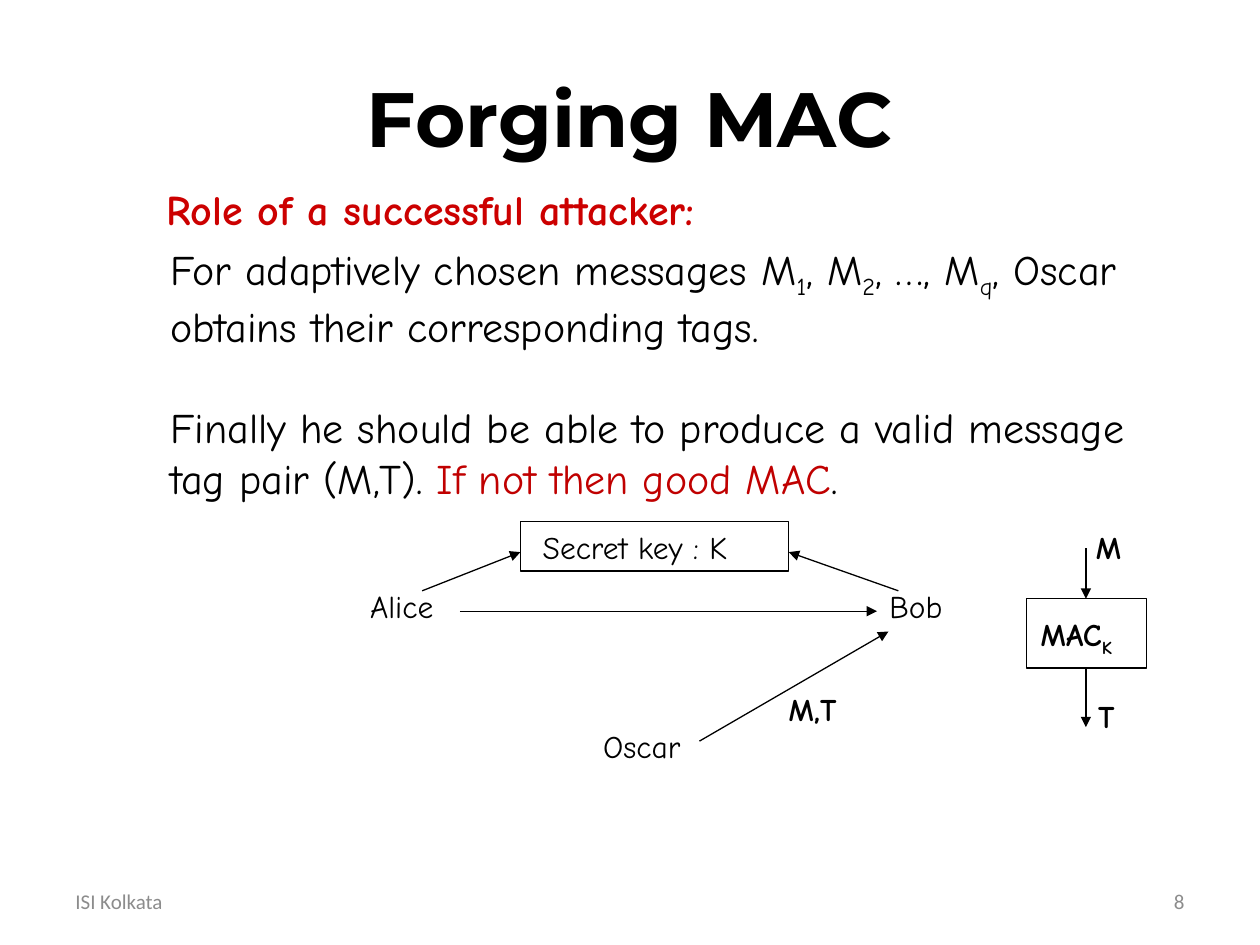
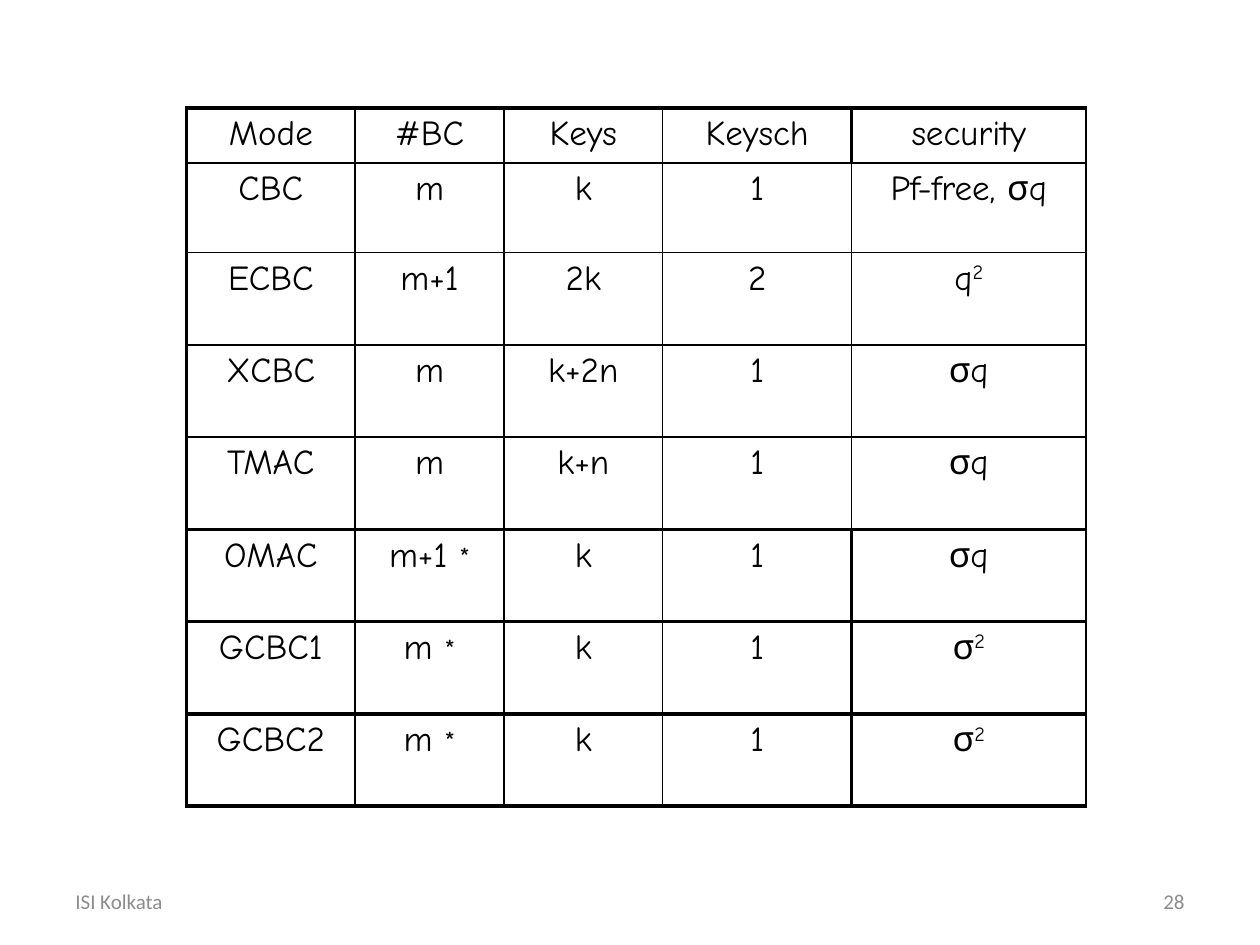
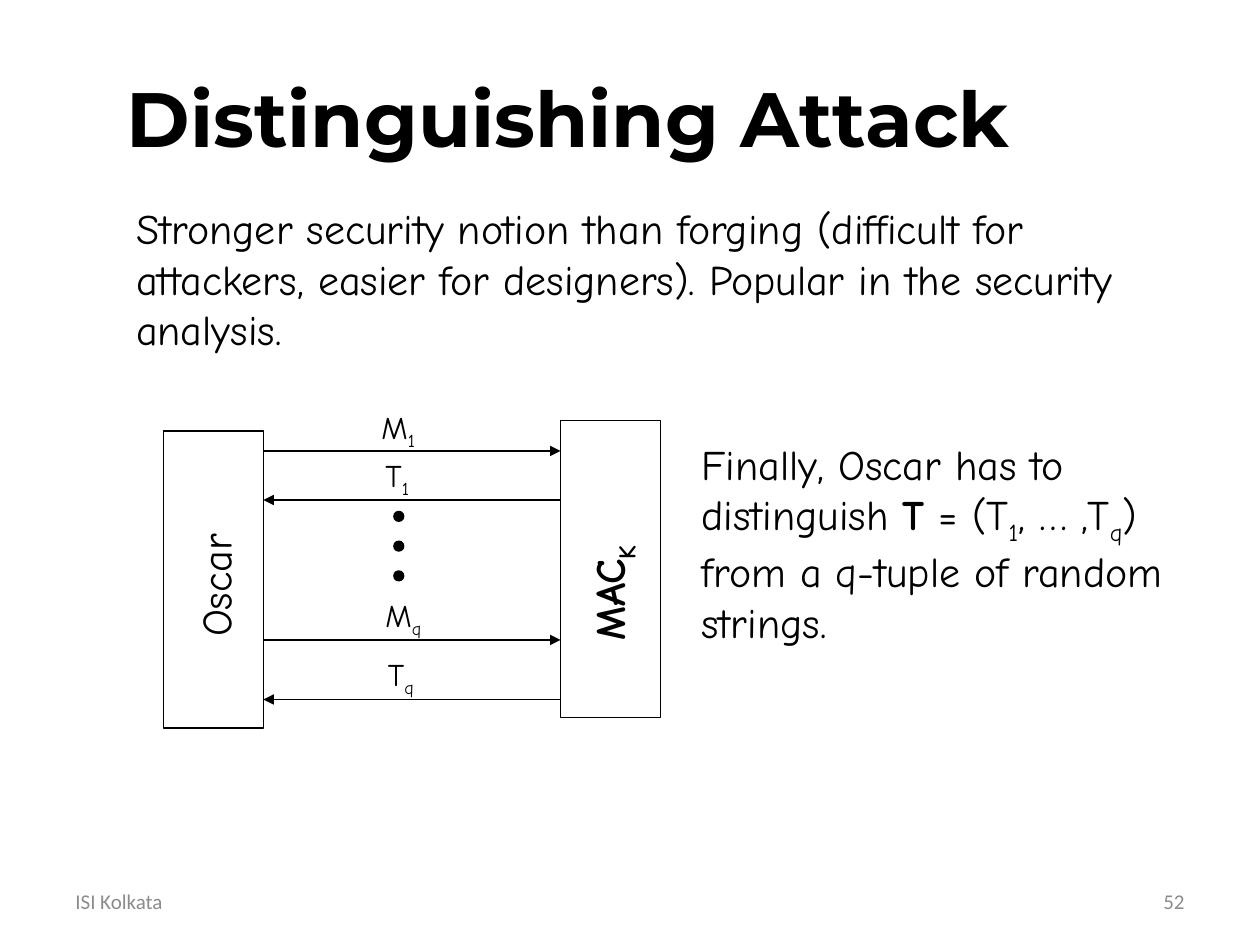
from lxml.etree import SubElement
from pptx import Presentation
from pptx.dml.color import RGBColor
from pptx.enum.shapes import MSO_CONNECTOR, MSO_SHAPE
from pptx.enum.text import MSO_ANCHOR, MSO_AUTO_SIZE, PP_ALIGN
from pptx.oxml.ns import qn
from pptx.util import Cm, Pt

# Shared look
BLACK, GREY = "000000", "8C8C8C"
BRIGHT_RED, DARK_RED = "CC0000", "C00000"
TITLE_FONT, BODY_FONT, FOOTER_FONT = "Montserrat", "Comic Neue", "Calibri"
TITLE_SIZE, BODY_SIZE, CELL_SIZE, LABEL_SIZE, FOOTER_SIZE = 44, 24, 20, 18, 12
LABEL_HEIGHT, TALL_LABEL_HEIGHT = 1.02, 1.27
THICK, THIN, OUTLINE = 2.25, 1, 0.75
TITLE_AND_BODY, BLANK = 1, 6


def color(value):
    return RGBColor.from_string(value)


def low(text):
    return text, {"baseline": -25000}


def high(text):
    return text, {"baseline": 30000}


# Text
def format_span(span, size, font=BODY_FONT, ink=BLACK, bold=False, baseline=0):
    span.font.name = font
    span.font.size = Pt(size)
    span.font.bold = bold
    span.font.color.rgb = color(ink)
    if baseline:
        span._r.get_or_add_rPr().set("baseline", str(baseline))


def write(para, parts, **style):
    """Write a string, or a list of strings and (string, style) pairs."""
    for part in [parts] if isinstance(parts, str) else parts:
        text, extra = (part, {}) if isinstance(part, str) else part
        span = para.add_run()
        span.text = text
        format_span(span, **{**style, **extra})


def add_label(page, left, top, width, parts, height=LABEL_HEIGHT,
              wrap=False, turn=0, **style):
    box = page.shapes.add_textbox(Cm(left), Cm(top), Cm(width), Cm(height))
    box.text_frame.word_wrap = wrap
    box.rotation = turn
    write(box.text_frame.paragraphs[0], parts, **{"size": LABEL_SIZE, **style})
    return box


def add_title(page, text):
    frame = page.shapes.title.text_frame
    frame.text = text
    frame.auto_size = MSO_AUTO_SIZE.NONE
    format_span(frame.paragraphs[0].runs[0], TITLE_SIZE, TITLE_FONT, bold=True)
    return frame


def add_body(page, left, top, width, height, paragraphs, gap=0):
    body = page.placeholders[1]
    body.left, body.top = Cm(left), Cm(top)
    body.width, body.height = Cm(width), Cm(height)
    frame = body.text_frame
    frame.auto_size = MSO_AUTO_SIZE.NONE
    for index, parts in enumerate(paragraphs):
        para = frame.add_paragraph() if index else frame.paragraphs[0]
        properties = para._p.get_or_add_pPr()
        properties.set("marL", "0")
        properties.set("indent", "0")
        SubElement(properties, qn("a:buNone"))
        para.space_before = Pt(gap if index else 0)
        write(para, parts, size=BODY_SIZE)


def add_footer(page, number):
    for left, text, side in ((1.27, "ISI Kolkata", PP_ALIGN.LEFT),
                             (18.21, str(number), PP_ALIGN.RIGHT)):
        box = add_label(page, left, 17.65, 5.92, text, wrap=True,
                        size=FOOTER_SIZE, font=FOOTER_FONT, ink=GREY)
        box.text_frame.vertical_anchor = MSO_ANCHOR.MIDDLE
        box.text_frame.paragraphs[0].alignment = side


# Diagram parts
def add_figure(page, kind, left, top, width, height, fill=None):
    figure = page.shapes.add_shape(kind, Cm(left), Cm(top), Cm(width), Cm(height))
    figure.shadow.inherit = False
    figure.line.color.rgb = color(BLACK)
    figure.line.width = Pt(OUTLINE)
    if fill:
        figure.fill.solid()
        figure.fill.fore_color.rgb = color(fill)
    else:
        figure.fill.background()


def add_arrow(page, start, end):
    arrow = page.shapes.add_connector(
        MSO_CONNECTOR.STRAIGHT, *(Cm(value) for value in (*start, *end)))
    arrow.line.color.rgb = color(BLACK)
    arrow.line.width = Pt(OUTLINE)
    SubElement(arrow.line._get_or_add_ln(), qn("a:tailEnd"), type="triangle")
    SubElement(arrow._element.spPr, qn("a:effectLst"))


# Table
def set_borders(cell, **widths):
    properties = cell._tc.get_or_add_tcPr()
    for side in "LRTB":
        edge = SubElement(properties, qn(f"a:ln{side}"), w=str(Pt(widths[side])))
        paint = SubElement(edge, qn("a:solidFill"))
        SubElement(paint, qn("a:srgbClr"), val=BLACK)


def add_grid(page, left, top, column_widths, row_heights, rows,
             thick_rows, is_thick_column):
    grid = page.shapes.add_table(
        len(rows), len(column_widths), Cm(left), Cm(top),
        Cm(sum(column_widths)), Cm(sum(row_heights))).table
    grid.first_row = grid.horz_banding = False
    for column, width in zip(grid.columns, column_widths):
        column.width = Cm(width)

    def row_edge(index):
        return THICK if index in thick_rows else THIN

    def column_edge(index, row):
        return THICK if is_thick_column(index, row) else THIN

    for r, (height, values) in enumerate(zip(row_heights, rows)):
        grid.rows[r].height = Cm(height)
        for c, parts in enumerate(values):
            cell = grid.cell(r, c)
            set_borders(cell, L=column_edge(c, r), R=column_edge(c + 1, r),
                        T=row_edge(r), B=row_edge(r + 1))
            cell.fill.background()
            para = cell.text_frame.paragraphs[0]
            para.alignment = PP_ALIGN.CENTER
            write(para, parts, size=CELL_SIZE)


# Slides
def build_forging(page):
    add_title(page, "Forging MAC")
    add_label(page, 3.1, 3.58, 13.77, "Role of a successful attacker:",
              height=1.3, wrap=True, size=BODY_SIZE, ink=BRIGHT_RED, bold=True)
    add_body(page, 3.18, 4.78, 20.45, 5.38, [
        ["For adaptively chosen messages M", low("1"), ", M", low("2"), ", …, M",
         low("q"), ", Oscar obtains their corresponding tags."],
        ["Finally he should be able to produce a valid message tag pair (M,T). ",
         ("If not then good MAC", {"ink": DARK_RED}), "."],
    ], gap=29)

    # Parties and keyed box
    add_figure(page, MSO_SHAPE.RECTANGLE, 10.49, 10.52, 5.41, 0.99)
    add_figure(page, MSO_SHAPE.RECTANGLE, 20.7, 12.07, 2.41, 1.4)
    for left, top, width, text in (
            (7.21, 11.71, 2.01, "Alice"), (17.68, 11.71, 1.63, "Bob"),
            (11.91, 14.53, 2.29, "Oscar"), (10.69, 10.52, 4.75, "Secret key : K")):
        add_label(page, left, top, width, text)
    for left, top, width, parts in (
            (15.65, 13.79, 1.78, "M,T"), (20.73, 12.27, 2.18, ["MAC", low("K")]),
            (21.84, 10.52, 1.07, "M"), (21.89, 13.92, 0.97, "T")):
        add_label(page, left, top, width, parts, bold=True)

    # Flow of keys, messages and tags
    for start, end in (
            ((9.27, 12.32), (17.68, 12.32)), ((8.51, 11.91), (10.49, 11.13)),
            ((18.11, 11.91), (15.9, 11.13)), ((14.1, 14.94), (17.91, 12.73)),
            ((21.89, 11.05), (21.89, 12.07)), ((21.89, 13.47), (21.89, 14.66))):
        add_arrow(page, start, end)


def build_modes(page):
    star = ("*", {"size": 16})
    rows = [
        ["Mode", "#BC", "Keys", "Keysch", "security"],
        ["CBC", "m", "k", "1", "Pf-free, σq"],
        ["ECBC", "m+1", "2k", "2", ["q", high("2")]],
        ["XCBC", "m", "k+2n", "1", "σq"],
        ["TMAC", "m", "k+n", "1", "σq"],
        ["OMAC", ["m+1 ", star], "k", "1", "σq"],
        ["GCBC1", ["m ", star], "k", "1", ["σ", high("2")]],
        ["GCBC2", ["m ", star], "k", "1", ["σ", high("2")]],
    ]
    add_grid(page, 3.76, 2.18, [3.4, 3, 3.2, 3.81, 4.72],
             [1.1, 1.81] + [1.86] * 6, rows, thick_rows={0, 5, 6, 7, 8},
             is_thick_column=lambda column, row:
             column == 0 or column == 4 and (row == 0 or row >= 5))


def build_distinguishing(page):
    frame = add_title(page, "Distinguishing Attack")
    frame.margin_right = Cm(2.74)
    add_body(page, 2.49, 3.96, 21.49, 3.33, [
        "Stronger security notion than forging (difficult for attackers, "
        "easier for designers). Popular in the security analysis."])

    # Attacker and keyed function
    oscar_left, mac_left, box_width, box_height = 3.3, 11.3, 2.01, 5.99
    oscar_right = oscar_left + box_width
    for left, top in ((oscar_left, 8.69), (mac_left, 8.48)):
        add_figure(page, MSO_SHAPE.RECTANGLE, left, top, box_width, box_height)
    for left, top, width, parts, bold in (
            (2.9, 11.02, 2.87, "Oscar", False),
            (10.54, 10.8, 3.45, ["MAC", low("K")], True)):
        add_label(page, left, top, width, parts, height=TALL_LABEL_HEIGHT,
                  wrap=bold, turn=270, size=BODY_SIZE, bold=bold)

    # Queries go right, tags come back
    for letter, index, left, top, arrow_top in (
            ("M", "1", 7.44, 8.1, 9.09), ("T", "1", 7.52, 9.07, 10.08),
            ("M", "q", 7.52, 11.89, 12.9), ("T", "q", 7.57, 13.08, 14.1)):
        ends = [(oscar_right, arrow_top), (mac_left, arrow_top)]
        add_arrow(page, *(ends if letter == "M" else reversed(ends)))
        add_label(page, left, top, 1.27 if letter == "M" else 1.15,
                  [letter, low(index)])
    for step in range(3):
        add_figure(page, MSO_SHAPE.OVAL, 7.94, 10.31 + 0.6 * step, 0.2, 0.2, BLACK)

    add_label(page, 13.89, 8.71, 10.52, [
        "Finally, Oscar has to distinguish ", ("T", {"bold": True}), " = (T",
        low("1"), ", … ,T", low("q"), ") from a q-tuple of random strings.",
    ], height=5.38, wrap=True, size=BODY_SIZE)


def main():
    deck = Presentation()
    deck.slide_width, deck.slide_height = Cm(25.4), Cm(19.05)
    for build, layout, number in ((build_forging, TITLE_AND_BODY, 8),
                                  (build_modes, BLANK, 28),
                                  (build_distinguishing, TITLE_AND_BODY, 52)):
        page = deck.slides.add_slide(deck.slide_layouts[layout])
        add_footer(page, number)
        build(page)
    deck.save("out.pptx")


if __name__ == "__main__":
    main()
